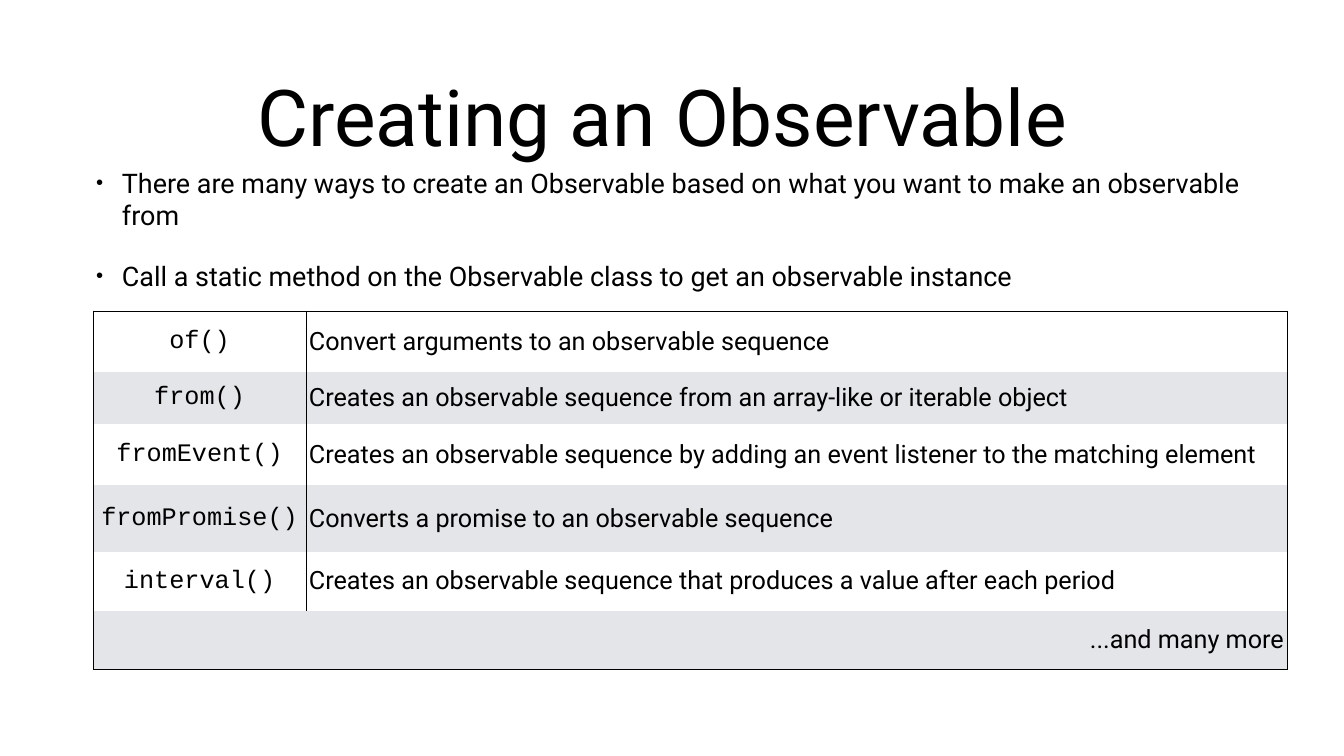
import pptx
import pptx.dml.color
import pptx.enum.text
import pptx.oxml
import pptx.oxml.ns
import pptx.util
from dataclasses import dataclass

Inches, Pt = pptx.util.Inches, pptx.util.Pt
Align = pptx.enum.text.PP_ALIGN
MIDDLE = pptx.enum.text.MSO_ANCHOR.MIDDLE

TITLE = "Creating an Observable "
POINTS = [
    "There are many ways to create an Observable based on what you want to make an observable from",
    "Call a static method on the Observable class to get an observable instance",
]
METHODS = [
    ("of()", "Convert arguments to an observable sequence"),
    ("from()", "Creates an observable sequence from an array-like or iterable object"),
    ("fromEvent()", "Creates an observable sequence by adding an event listener to the matching element"),
    ("fromPromise()", "Converts a promise to an observable sequence"),
    ("interval()", "Creates an observable sequence that produces a value after each period"),
]
CLOSING = "...and many more"

SLIDE = (26.67, 15)
LEFT = 1.85
TITLE_BOX = (LEFT, 1.04, 22.97, 2.5)
BODY_BOX = (LEFT, 3.26, 22.97, 2.57)
TABLE_TOP = 6.17
COLUMNS = (4.22, 19.47)
ROWS = (1.21, 1.04, 1.21, 1.32, 1.17, 1.17)
INSET = 0.06
INDENT = 0.51


@dataclass(frozen=True)
class Theme:
    ink: str = "000000"
    bands: tuple = ("FFFFFF", "E3E5E8")
    font: str = "Roboto"
    code_font: str = "Courier New"
    title_size: float = 112
    body_size: float = 38.5
    cell_size: float = 36
    body_gap: float = 41


THEME = Theme()


def color(value):
    return pptx.dml.color.RGBColor.from_string(value)


def write(para, text, *, size, font=THEME.font, align=Align.LEFT):
    para.alignment = align
    span = para.add_run()
    span.text = text
    span.font.size = Pt(size)
    span.font.name = font
    span.font.color.rgb = color(THEME.ink)


def place(holder, bounds):
    """Move a placeholder and return its text frame, ready for writing."""
    holder.left, holder.top, holder.width, holder.height = map(Inches, bounds)
    frame = holder.text_frame
    frame.auto_size = pptx.enum.text.MSO_AUTO_SIZE.NONE
    frame.word_wrap = True
    frame.vertical_anchor = MIDDLE
    frame.margin_left = frame.margin_right = Inches(INSET)
    frame.margin_top = frame.margin_bottom = Inches(INSET)
    return frame


def add_bullet(para):
    props = para._p.get_or_add_pPr()
    props.set("marL", str(Inches(INDENT)))
    props.set("indent", str(-Inches(INDENT)))
    names = pptx.oxml.ns.nsdecls("a")
    for tag in ('buSzPct %s val="75000"', 'buChar %s char="•"'):
        props.append(pptx.oxml.parse_xml(f"<a:{tag % names}/>"))


def style_cell(cell, band, edges):
    """Fill the cell and draw a line on the named edges only."""
    cell.vertical_anchor = MIDDLE
    cell.margin_left = cell.margin_right = Inches(INSET)
    cell.margin_top = cell.margin_bottom = Inches(INSET)
    cell.fill.solid()
    cell.fill.fore_color.rgb = color(band)
    names = pptx.oxml.ns.nsdecls("a")
    solid = f'<a:solidFill><a:srgbClr val="{THEME.ink}"/></a:solidFill>'
    props = cell._tc.get_or_add_tcPr()
    for order, edge in enumerate("LRTB"):
        paint = solid if edge in edges else "<a:noFill/>"
        line = f'<a:ln{edge} {names} w="{Pt(1)}">{paint}</a:ln{edge}>'
        props.insert(order, pptx.oxml.parse_xml(line))


def add_methods(page):
    bounds = map(Inches, (LEFT, TABLE_TOP, sum(COLUMNS), sum(ROWS)))
    table = page.shapes.add_table(len(ROWS), len(COLUMNS), *bounds).table
    table.first_row = table.horz_banding = False
    for column, width in zip(table.columns, COLUMNS):
        column.width = Inches(width)
    last = len(ROWS) - 1
    table.cell(last, 0).merge(table.cell(last, 1))
    for index, height in enumerate(ROWS):
        table.rows[index].height = Inches(height)
        edges = "LR" + ("T" if index == 0 else "") + ("B" if index == last else "")
        for cell in table.rows[index].cells:
            style_cell(cell, THEME.bands[index % 2], edges)
    for index, (method, meaning) in enumerate(METHODS):
        write(table.cell(index, 0).text_frame.paragraphs[0], method,
              size=THEME.cell_size, font=THEME.code_font, align=Align.CENTER)
        write(table.cell(index, 1).text_frame.paragraphs[0], meaning, size=THEME.cell_size)
    write(table.cell(last, 0).text_frame.paragraphs[0], CLOSING,
          size=THEME.cell_size, align=Align.RIGHT)


def main():
    deck = pptx.Presentation()
    deck.slide_width, deck.slide_height = map(Inches, SLIDE)
    page = deck.slides.add_slide(deck.slide_layouts[1])

    title = place(page.shapes.title, TITLE_BOX)
    write(title.paragraphs[0], TITLE, size=THEME.title_size, align=Align.CENTER)

    body = place(page.placeholders[1], BODY_BOX)
    for index, point in enumerate(POINTS):
        para = body.add_paragraph() if index else body.paragraphs[0]
        para.space_before = Pt(THEME.body_gap)
        add_bullet(para)
        write(para, point, size=THEME.body_size)

    add_methods(page)
    deck.save("out.pptx")


if __name__ == "__main__":
    main()
